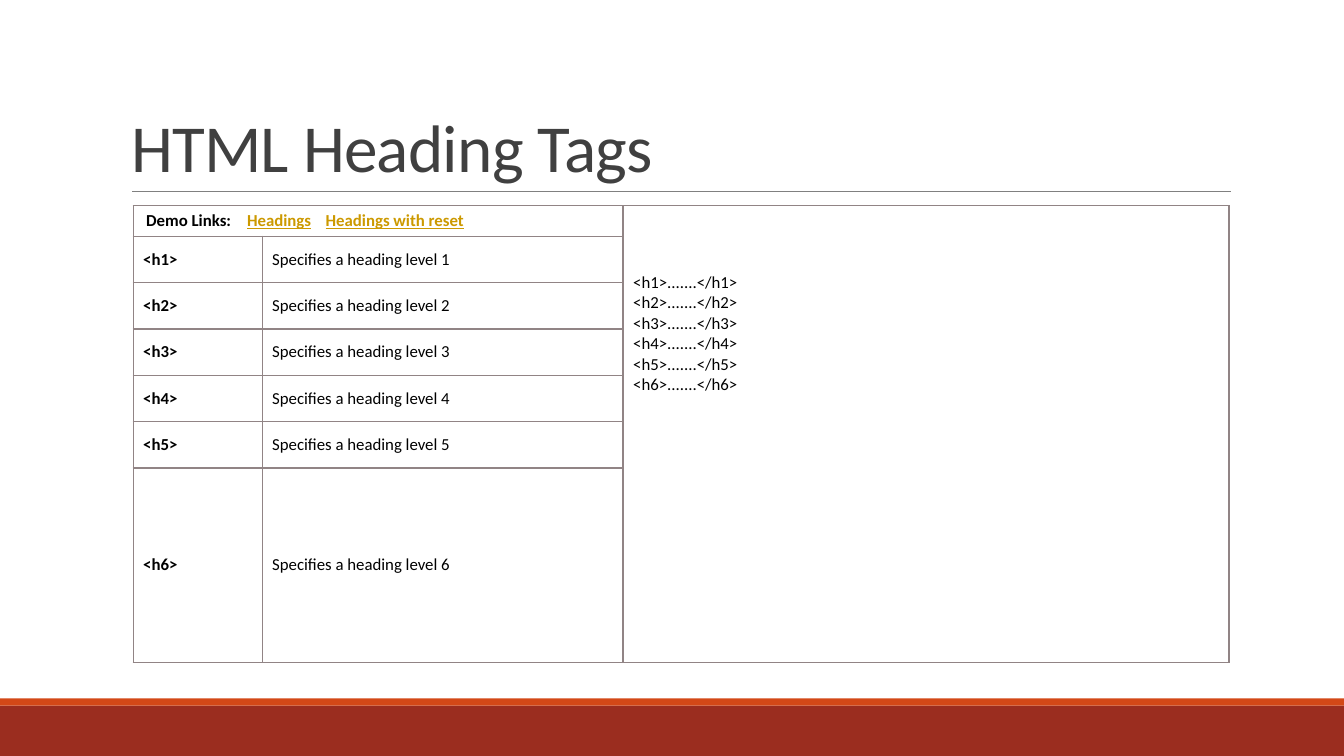
from lxml.etree import SubElement
from pptx import Presentation
from pptx.dml.color import RGBColor
from pptx.enum.shapes import MSO_CONNECTOR, MSO_SHAPE
from pptx.enum.text import MSO_ANCHOR, MSO_AUTO_SIZE, PP_ALIGN
from pptx.oxml.ns import qn
from pptx.util import Inches, Pt

BLACK, LINK, BORDER = "000000", "CC9900", "918485"


def rgb(value):
    """Turn a hex string into a colour."""
    return RGBColor.from_string(value)


class SlideBuilder:
    """Holds the text style and the current slide."""

    def __init__(self, prs, font="Calibri", size=12):
        self.font, self.size = font, size
        self.slide = prs.slides.add_slide(prs.slide_layouts[5])

    def style(self, font, color=BLACK, size=None, bold=False):
        """Format the font of a paragraph."""
        font.name, font.size, font.bold = self.font, Pt(size or self.size), bold
        font.color.rgb = rgb(color)

    def band(self, top, height, color):
        """Draw a full-width footer band."""
        sp = self.slide.shapes.add_shape(
            MSO_SHAPE.RECTANGLE, 0, Inches(top), Inches(13.33), Inches(height))
        sp.shadow.inherit = False
        sp.fill.solid()
        sp.fill.fore_color.rgb = rgb(color)
        sp.line.fill.background()

    def rule(self, left, right, y, color, width):
        """Draw a horizontal line."""
        line = self.slide.shapes.add_connector(
            MSO_CONNECTOR.STRAIGHT, Inches(left), Inches(y), Inches(right), Inches(y))
        line.line.color.rgb = rgb(color)
        line.line.width = Pt(width)
        SubElement(line._element.spPr, qn("a:effectLst"))

    def title(self, text, left, top, width, height):
        """Place and format the title placeholder."""
        sp = self.slide.shapes.title
        sp.left, sp.top, sp.width, sp.height = map(Inches, (left, top, width, height))
        tf = sp.text_frame
        tf.text = text
        tf.word_wrap, tf.auto_size = True, MSO_AUTO_SIZE.NONE
        tf.vertical_anchor = MSO_ANCHOR.BOTTOM
        p = tf.paragraphs[0]
        p.alignment, p.line_spacing = PP_ALIGN.LEFT, 0.85
        self.style(p.font, "404040", 48)
        p.runs[0].font._element.set("spc", "-50")

    def table(self, left, top, cols, rows):
        """Add a plain bordered table with the given column and row sizes."""
        table = self.slide.shapes.add_table(
            len(rows), len(cols), Inches(left), Inches(top),
            Inches(sum(cols)), Inches(sum(rows))).table
        table.first_row = table.horz_banding = False
        for col, width in zip(table.columns, cols):
            col.width = Inches(width)
        for row, height in zip(table.rows, rows):
            row.height = Inches(height)
        for cell in table.iter_cells():
            self.borders(cell)
            cell.fill.background()
        return table

    def borders(self, cell, color=BORDER, width=1):
        """Draw all four borders of a cell."""
        tc_pr = cell._tc.get_or_add_tcPr()
        for side in ("lnL", "lnR", "lnT", "lnB"):
            ln = SubElement(tc_pr, qn(f"a:{side}"), w=str(Pt(width)))
            fill = SubElement(ln, qn("a:solidFill"))
            SubElement(fill, qn("a:srgbClr"), val=color)

    def cell(self, cell, text, bold=False, anchor=MSO_ANCHOR.MIDDLE):
        """Fill a cell with text, one paragraph a line."""
        cell.text = text
        cell.vertical_anchor = anchor
        for p in cell.text_frame.paragraphs:
            self.style(p.font, bold=bold)

    def link_cell(self, cell, label, links, tabs):
        """Fill a cell with a label and link-styled words at tab stops."""
        self.cell(cell, label, bold=True)
        p = cell.text_frame.paragraphs[0]
        tab_list = SubElement(p._p.get_or_add_pPr(), qn("a:tabLst"))
        # The schema puts tab stops ahead of the default run properties.
        tab_list.getparent().insert(0, tab_list)
        for text, pos in zip(links, tabs):
            SubElement(tab_list, qn("a:tab"), pos=str(Inches(pos)), algn="l")
            p.add_run().text = "\t"
            r = p.add_run()
            r.text = text
            r.font.underline = True
            r.font.color.rgb = rgb(LINK)


prs = Presentation()
prs.slide_width, prs.slide_height = Inches(13.33), Inches(7.5)
s = SlideBuilder(prs)
s.band(7, 0.5, "9B2D1F")
s.band(6.93, 0.07, "D34817")
s.rule(1.31, 12.21, 1.9, "808080", 0.5)
s.title("HTML Heading Tags", 1.2, 0.31, 11, 1.59)

levels = range(1, 7)
table = s.table(1.32, 2.04, [1.28, 3.58, 6.01], [0.3] + [0.46] * 5 + [1.92])
links, example = table.cell(0, 0), table.cell(0, 2)
links.merge(table.cell(0, 1))
example.merge(table.cell(6, 2))
links.margin_left = Inches(0.13)
s.link_cell(links, "Demo Links:", ["Headings", "Headings with reset"], [1, 1.78])
s.cell(example, "\n".join(f"<h{n}>.......</h{n}>" for n in levels),
       anchor=MSO_ANCHOR.TOP)
example.margin_top = Inches(0.66)
for n in levels:
    s.cell(table.cell(n, 0), f"<h{n}>", bold=True)
    s.cell(table.cell(n, 1), f"Specifies a heading level {n}")

prs.save("out.pptx")
